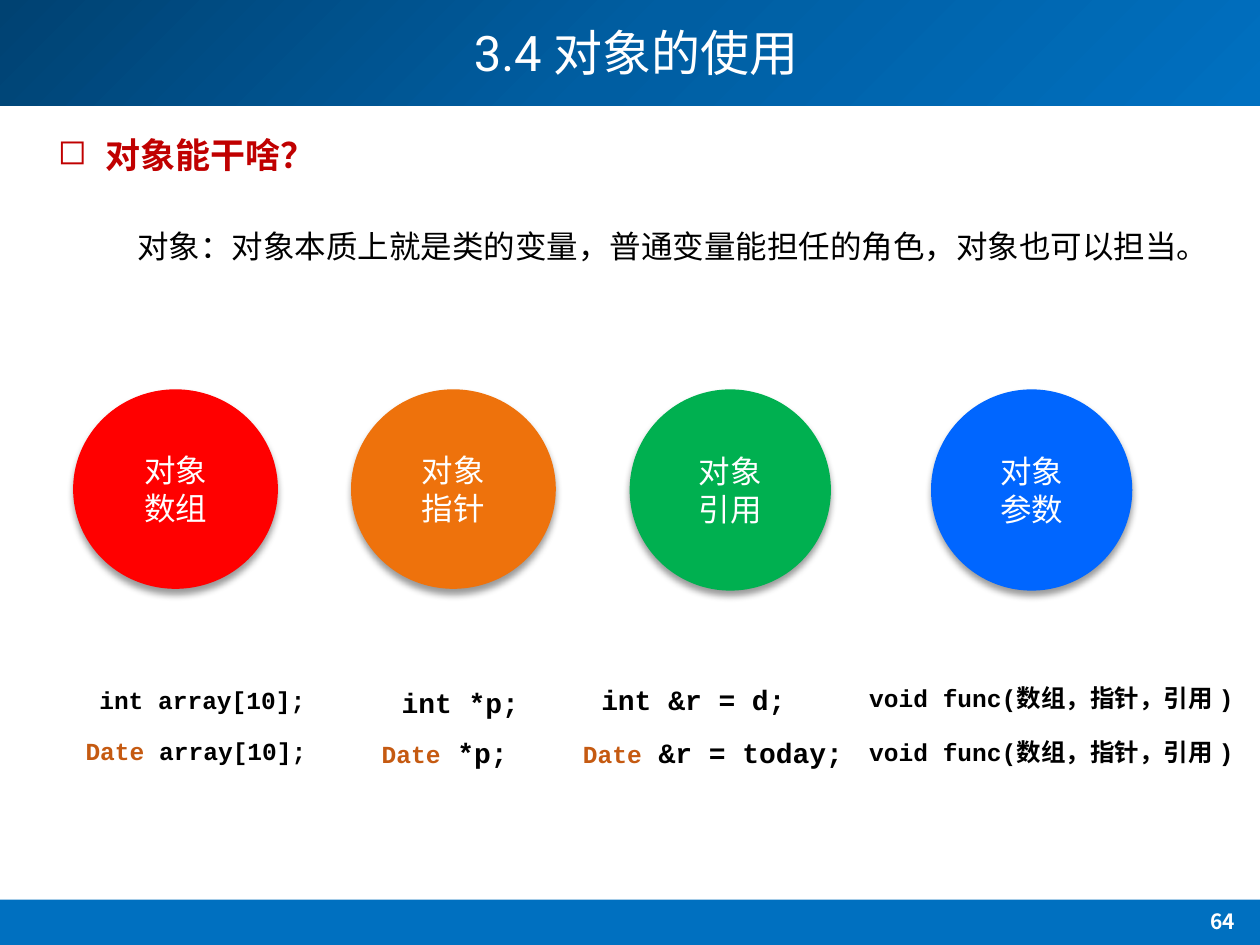
from copy import deepcopy
from lxml.etree import SubElement
from pptx import Presentation
from pptx.dml.color import RGBColor
from pptx.enum.shapes import MSO_SHAPE
from pptx.enum.text import MSO_ANCHOR, MSO_AUTO_SIZE, PP_ALIGN
from pptx.oxml.ns import qn
from pptx.util import Pt

NAVY = RGBColor(0x00, 0x42, 0x72)
MID = RGBColor(0x00, 0x5E, 0xA2)
BLUE = RGBColor(0x00, 0x70, 0xC0)
WHITE = RGBColor(0xFF, 0xFF, 0xFF)
BLACK = RGBColor(0x00, 0x00, 0x00)
CRIMSON = RGBColor(0xC0, 0x00, 0x00)
BROWN = RGBColor(0xC5, 0x5A, 0x11)
RED = RGBColor(0xFF, 0x00, 0x00)
ORANGE = RGBColor(0xEE, 0x72, 0x0C)
GREEN = RGBColor(0x00, 0xB0, 0x50)
AZURE = RGBColor(0x00, 0x66, 0xFF)

SANS = "Noto Sans CJK SC"
CODE = "Courier New"


def style(name, size, color, bold=False):
    return {"name": name, "size": Pt(size), "color": color, "bold": bold}


def add_run(para, text, form):
    run = para.add_run()
    run.text = text
    for key, value in form.items():
        if key == "color":
            run.font.color.rgb = value
        else:
            setattr(run.font, key, value)


def add_text(slide, box, runs, wrap=True, grow=True, **form):
    shape = slide.shapes.add_textbox(*map(Pt, box))
    frame = shape.text_frame
    frame.word_wrap = wrap
    if grow:
        frame.auto_size = MSO_AUTO_SIZE.SHAPE_TO_FIT_TEXT
    para = frame.paragraphs[0]
    for key, value in form.items():
        setattr(para, key, value)
    for text, look in runs:
        add_run(para, text, look)
    return para


def add_band(slide, top, height):
    band = slide.shapes.add_shape(
        MSO_SHAPE.RECTANGLE, Pt(0), Pt(top), Pt(720), Pt(height))
    band.shadow.inherit = False
    band.line.fill.background()
    band.fill.solid()
    band.fill.fore_color.rgb = BLUE
    return band


def shade(band):
    fill = band.fill
    fill.gradient()
    fill.gradient_angle = 315
    stops = band._element.spPr.find(qn("a:gradFill")).find(qn("a:gsLst"))
    stops.insert(1, deepcopy(stops[0]))
    colors = (NAVY, MID, BLUE)
    for stop, place, color in zip(fill.gradient_stops, (0, 0.5, 1), colors):
        stop.position = place
        stop.color.rgb = color


def add_title(slide):
    title = slide.shapes.title
    slide.shapes._spTree.append(title._element)
    title.left, title.top, title.width, title.height = map(
        Pt, (61, 0, 605, 64))
    frame = title.text_frame
    frame.vertical_anchor = MSO_ANCHOR.MIDDLE
    para = frame.paragraphs[0]
    para.alignment = PP_ALIGN.CENTER
    para.line_spacing = 0.9
    add_run(para, "3.4 ", style("Roboto", 28, WHITE))
    add_run(para, "对象的使用", style(SANS, 28, WHITE))


def add_bullet(para):
    props = para._p.get_or_add_pPr()
    props.set("marL", str(Pt(27)))
    props.set("indent", str(-Pt(27)))
    SubElement(props, qn("a:buChar"), char="◻")


def add_shadow(shape):
    shape.shadow.inherit = False
    effects = shape._element.spPr.find(qn("a:effectLst"))
    outer = SubElement(
        effects, qn("a:outerShdw"), blurRad=str(Pt(4)), dist=str(Pt(3)),
        dir="5400000", rotWithShape="0")
    color = SubElement(outer, qn("a:srgbClr"), val=str(BLACK))
    SubElement(color, qn("a:alpha"), val="40000")


def add_disc(slide, left, width, height, color, word):
    disc = slide.shapes.add_shape(
        MSO_SHAPE.OVAL, Pt(left), Pt(222.5), Pt(width), Pt(height))
    add_shadow(disc)
    disc.fill.solid()
    disc.fill.fore_color.rgb = color
    disc.line.fill.background()
    frame = disc.text_frame
    frame.vertical_anchor = MSO_ANCHOR.MIDDLE
    for para, text in zip(
            (frame.paragraphs[0], frame.add_paragraph()), ("对象", word)):
        para.alignment = PP_ALIGN.CENTER
        add_run(para, text, style("Calibri", 18, WHITE))


def add_code(slide, box, text, size, kind=""):
    runs = [(text, style(CODE, size, BLACK, True))]
    if kind:
        runs.insert(0, (kind, style(CODE, 14, BROWN, True)))
    add_text(slide, box, runs, wrap=False)


def main():
    deck = Presentation()
    deck.slide_width, deck.slide_height = Pt(720), Pt(540)
    slide = deck.slides.add_slide(deck.slide_layouts[5])

    shade(add_band(slide, 0, 60.5))
    add_band(slide, 514, 26)
    add_text(slide, (664.5, 515.5, 68.5, 26),
             [("64", style(SANS, 12, WHITE, True))],
             grow=False, alignment=PP_ALIGN.CENTER)
    add_title(slide)
    add_text(slide, (71.3, 115.2, 648.7, 40.3),
             [("对象：对象本质上就是类的变量，普通变量能担任的角色，对象也可以担当。",
               style("Arial", 18, BLACK))], line_spacing=1.5)
    add_bullet(add_text(slide, (26, 72.7, 563, 31.7),
                        [("对象能干啥？", style("Arial", 20, CRIMSON, True))]))

    for disc in (
            (41.8, 117, 114, RED, "数组"),
            (200.6, 117, 114, ORANGE, "指针"),
            (359.8, 115, 115, GREEN, "引用"),
            (532, 115, 115, AZURE, "参数")):
        add_disc(slide, *disc)

    call = "void func(数组，指针，引用 )"
    for code in (
            ((41.8, 417, 141, 24.5), " array[10];", 14, "Date"),
            ((49.7, 388, 133, 24.5), "int array[10];", 14),
            ((211, 417, 87, 26.6), " *p;", 16, "Date"),
            ((222.5, 388, 83, 26.6), "int *p;", 16),
            ((326, 417, 170, 26.6), " &r = today;", 16, "Date"),
            ((336.5, 386.6, 121.7, 26.6), "int &r = d;", 16),
            ((489.6, 386.6, 229, 24.5), call, 14),
            ((489.6, 417.6, 229, 24.5), call, 14)):
        add_code(slide, *code)

    deck.save("out.pptx")


if __name__ == "__main__":
    main()
